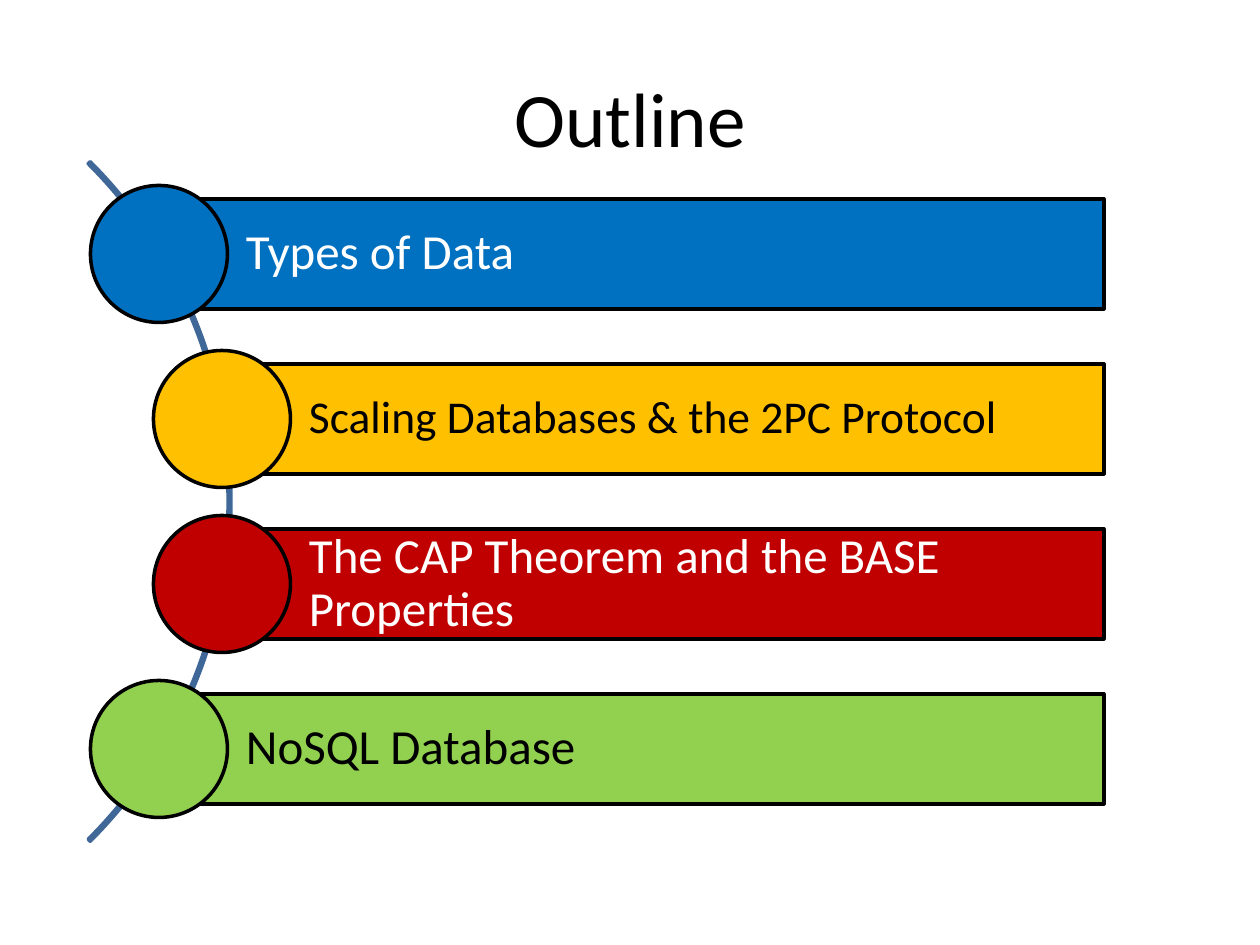
"""Build an outline slide with four topics strung along an arc."""
import pptx
import pptx.dml.color
import pptx.enum.shapes
import pptx.enum.text
import pptx.util

RGBColor = pptx.dml.color.RGBColor
BLACK = RGBColor(0x00, 0x00, 0x00)
WHITE = RGBColor(0xFF, 0xFF, 0xFF)
STEEL = RGBColor(0x3F, 0x67, 0x97)
BLUE = RGBColor(0x00, 0x70, 0xC0)
AMBER = RGBColor(0xFF, 0xC0, 0x00)
RED = RGBColor(0xC0, 0x00, 0x00)
GREEN = RGBColor(0x92, 0xD0, 0x50)

SHAPE = pptx.enum.shapes.MSO_SHAPE
ALIGN = pptx.enum.text.PP_ALIGN
MIDDLE = pptx.enum.text.MSO_ANCHOR.MIDDLE

PX_PER_INCH = 126
BAR_RIGHT = 1104
BAR_HEIGHT = 110
CIRCLE = 137
FIRST_CENTRE = 254
PITCH = 165

TOPICS = [
    ("Types of Data", 159, BLUE, WHITE, 28, 10),
    ("Scaling Databases & the 2PC Protocol", 222, AMBER, BLACK, 26, 9),
    ("The CAP Theorem and the BASE Properties", 222, RED, WHITE, 28, 10),
    ("NoSQL Database", 159, GREEN, BLACK, 28, 10),
]


def px(length):
    return pptx.util.Emu(round(length * 914400 / PX_PER_INCH))


def add_outlined(kind, left, top, width, height, fill, line):
    shape = page.shapes.add_shape(kind, px(left), px(top), px(width), px(height))
    shape.shadow.inherit = False
    if fill is None:
        shape.fill.background()
    else:
        shape.fill.solid()
        shape.fill.fore_color.rgb = fill
    shape.line.color.rgb = line
    shape.line.width = pptx.util.Pt(2)
    return shape


deck = pptx.Presentation()
deck.slide_width = px(1260)
deck.slide_height = px(945)
page = deck.slides.add_slide(deck.slide_layouts[5])

title = page.shapes.title
title.left, title.top, title.width, title.height = px(63), px(38), px(1134), px(158)
title.text_frame.vertical_anchor = MIDDLE
para = title.text_frame.paragraphs[0]
para.alignment = ALIGN.CENTER
span = para.add_run()
span.text = "Outline"
span.font.name = "Calibri"
span.font.size = pptx.util.Pt(44)
span.font.color.rgb = BLACK

arc = add_outlined(SHAPE.BLOCK_ARC, -730, 21, 961, 961, None, STEEL)
for index, value in enumerate((189, 27, 0.003)):
    arc.adjustments[index] = value

for row, (topic, left, fill, ink, size, inset) in enumerate(TOPICS):
    centre = FIRST_CENTRE + row * PITCH
    bar = add_outlined(SHAPE.RECTANGLE, left, centre - BAR_HEIGHT / 2,
                       BAR_RIGHT - left, BAR_HEIGHT, fill, BLACK)
    frame = bar.text_frame
    frame.word_wrap = True
    frame.vertical_anchor = MIDDLE
    frame.margin_left = px(87)
    frame.margin_top = frame.margin_right = frame.margin_bottom = px(inset)
    para = frame.paragraphs[0]
    para.alignment = ALIGN.LEFT
    para.line_spacing = 0.9
    span = para.add_run()
    span.text = topic
    span.font.name = "Calibri"
    span.font.size = pptx.util.Pt(size)
    span.font.color.rgb = ink
    add_outlined(SHAPE.OVAL, left - CIRCLE / 2, centre - CIRCLE / 2,
                 CIRCLE, CIRCLE, fill, BLACK)

deck.save("out.pptx")
